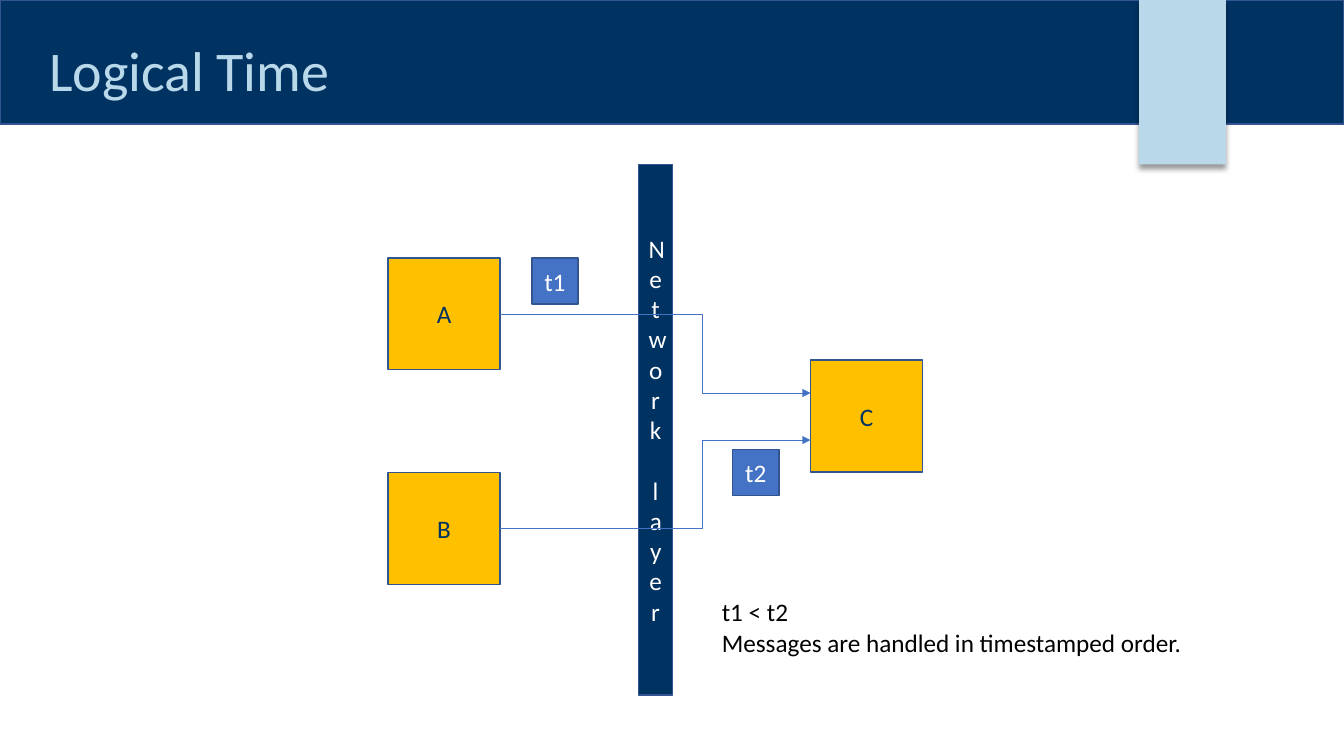
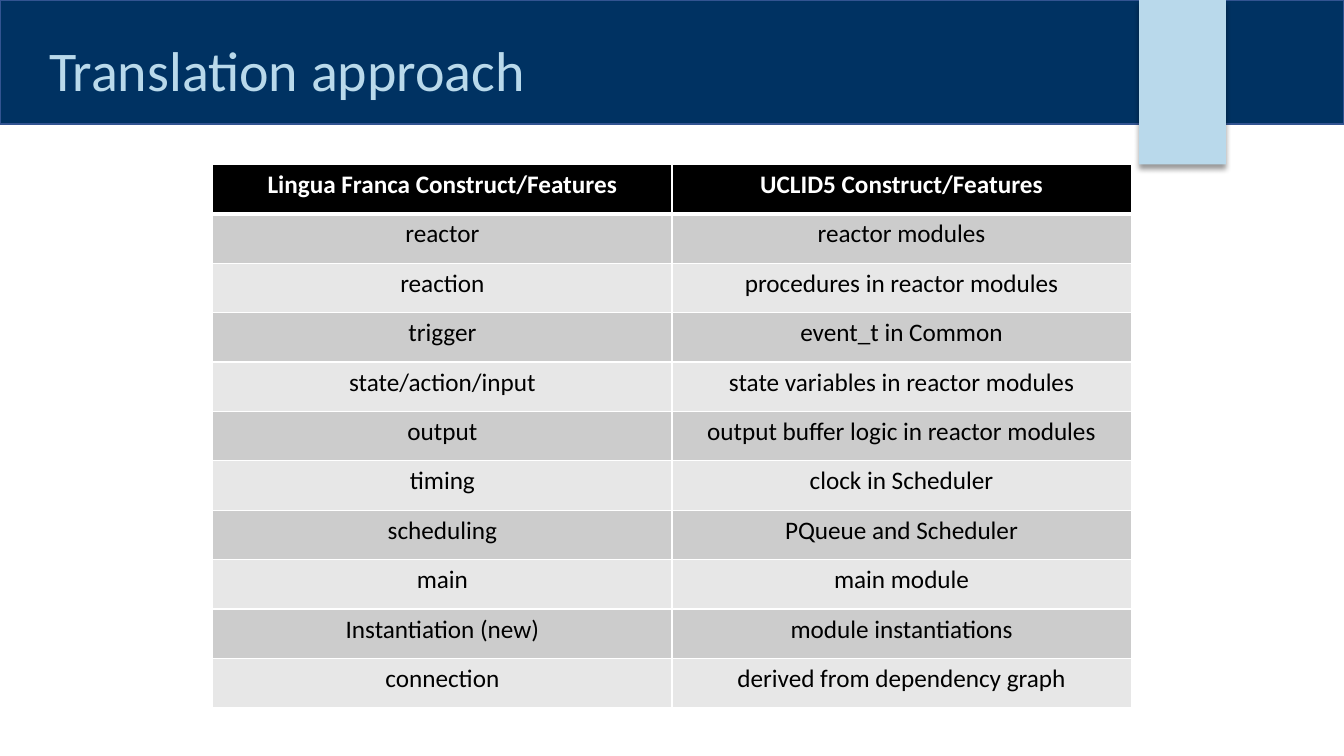
from dataclasses import dataclass

from lxml.etree import SubElement
from pptx import Presentation
from pptx.dml.color import RGBColor
from pptx.enum.shapes import MSO_CONNECTOR as Connector, MSO_SHAPE as Preset
from pptx.enum.text import MSO_ANCHOR as Anchor, PP_ALIGN as Align
from pptx.oxml.ns import qn
from pptx.util import Pt

FONT = "Calibri"
NAVY, PALE_BLUE, BLUE, OUTLINE = "003262", "B9D9EB", "4472C4", "325491"
GOLD, WHITE, BLACK = "FFC000", "FFFFFF", "000000"
ROW_FILLS = ("E7E7E7", "CCCCCC")

PAGE_WIDTH, PAGE_HEIGHT = 960, 540
BAND_HEIGHT = 88.5
CONTENT_TOP = 117.4
NODE, STAMP = 80, 33
BLANK_LAYOUT = 6


@dataclass(frozen=True)
class Block:
    left: float
    top: float
    width: float
    height: float
    fill: str
    outline: str | None = OUTLINE
    lines: tuple[str, ...] = ()
    text_color: str = WHITE
    line_gap: float = 0


@dataclass(frozen=True)
class Message:
    """An elbow arrow that turns at the given fraction of its width."""
    start: tuple[float, float]
    end: tuple[float, float]
    turn: float = 0.652


BAND = Block(0, 0, PAGE_WIDTH, BAND_HEIGHT, NAVY)
RIBBON = Block(813.6, 0, 62, CONTENT_TOP, PALE_BLUE, None)

DIAGRAM = (
    Block(277.2, 184.2, NODE, NODE, GOLD, lines=("A",), text_color=NAVY),
    Block(277.2, 337.5, NODE, NODE, GOLD, lines=("B",), text_color=NAVY),
    Block(579, 257.2, NODE, NODE, GOLD, lines=("C",), text_color=NAVY),
    Block(456.3, CONTENT_TOP, 24, 379, NAVY, lines=("Network", "layer"), line_gap=21.6),
)
MESSAGES = (
    Message((357.2, 224.2), (579, 280.7)),
    Message((357.2, 377.5), (579, 314.4)),
)
STAMPS = (
    Block(379.9, 184.2, STAMP, STAMP, BLUE, lines=("t1",)),
    Block(523.4, 321, STAMP, STAMP, BLUE, lines=("t2",)),
)
TRANSLATIONS = (
    ("Lingua Franca Construct/Features", "UCLID5 Construct/Features"),
    ("reactor", "reactor modules"),
    ("reaction", "procedures in reactor modules"),
    ("trigger", "event_t in Common"),
    ("state/action/input", "state variables in reactor modules"),
    ("output", "output buffer logic in reactor modules"),
    ("timing", "clock in Scheduler"),
    ("scheduling", "PQueue and Scheduler"),
    ("main", "main module"),
    ("Instantiation (new)", "module instantiations"),
    ("connection", "derived from dependency graph"),
)


def rgb(color: str) -> RGBColor:
    return RGBColor.from_string(color)


def write(frame, lines: tuple[str, ...], color: str, size: float = 18,
          align=Align.LEFT, bold: bool = False, gap: float = 0) -> None:
    """Write one paragraph per line, with a gap between paragraphs."""
    for index, line in enumerate(lines):
        para = frame.add_paragraph() if index else frame.paragraphs[0]
        para.alignment = align
        if index and gap:
            para.space_before = Pt(gap)
        span = para.add_run()
        span.text = line
        span.font.name = FONT
        span.font.size = Pt(size)
        span.font.bold = bold
        span.font.color.rgb = rgb(color)


def add_block(page, block: Block):
    box = page.shapes.add_shape(Preset.RECTANGLE, Pt(block.left), Pt(block.top),
                                Pt(block.width), Pt(block.height))
    box.shadow.inherit = False
    box.fill.solid()
    box.fill.fore_color.rgb = rgb(block.fill)
    if block.outline:
        box.line.color.rgb = rgb(block.outline)
        box.line.width = Pt(1)
    else:
        box.line.fill.background()
    if block.lines:
        box.text_frame.word_wrap = True
        box.text_frame.vertical_anchor = Anchor.MIDDLE
        write(box.text_frame, block.lines, block.text_color,
              align=Align.CENTER, gap=block.line_gap)
    return box


def add_drop_shadow(box) -> None:
    effects = box.element.spPr.find(qn("a:effectLst"))
    shadow = SubElement(effects, qn("a:outerShdw"), blurRad=str(Pt(4)),
                        dist=str(Pt(3)), dir="5400000", algn="t", rotWithShape="0")
    color = SubElement(shadow, qn("a:srgbClr"), val=BLACK)
    SubElement(color, qn("a:alpha"), val="40000")


def add_text(page, left: float, top: float, width: float, height: float):
    box = page.shapes.add_textbox(Pt(left), Pt(top), Pt(width), Pt(height))
    return box.text_frame


def add_page(deck, title: str):
    """Add a blank page with the shared band, title and ribbon."""
    page = deck.slides.add_slide(deck.slide_layouts[BLANK_LAYOUT])
    add_block(page, BAND)
    frame = add_text(page, 28, 10.8, 756.5, 67)
    frame.word_wrap = True
    frame.vertical_anchor = Anchor.BOTTOM
    write(frame, (title,), PALE_BLUE, size=40)
    frame.paragraphs[0].line_spacing = 0.9
    add_drop_shadow(add_block(page, RIBBON))
    return page


def add_message(page, message: Message) -> None:
    points = (Pt(value) for value in message.start + message.end)
    arrow = page.shapes.add_connector(Connector.ELBOW, *points)
    arrow.line.color.rgb = rgb(BLUE)
    arrow.line.width = Pt(0.5)
    properties = arrow.element.spPr
    SubElement(properties.find(qn("a:ln")), qn("a:tailEnd"), type="triangle")
    SubElement(properties, qn("a:effectLst"))
    guides = properties.find(qn("a:prstGeom")).find(qn("a:avLst"))
    SubElement(guides, qn("a:gd"), name="adj1", fmla=f"val {round(message.turn * 100000)}")


def add_borders(cell, top: float, bottom: float) -> None:
    """Add white borders; call before filling, since fills come after them."""
    properties = cell._tc.get_or_add_tcPr()
    for side, width in (("L", 1), ("R", 1), ("T", top), ("B", bottom)):
        border = SubElement(properties, qn(f"a:ln{side}"), w=str(Pt(width)))
        fill = SubElement(border, qn("a:solidFill"))
        SubElement(fill, qn("a:srgbClr"), val=WHITE)


def add_translation_table(page) -> None:
    table = page.shapes.add_table(len(TRANSLATIONS), 2, Pt(152), Pt(CONTENT_TOP),
                                  Pt(656), Pt(388.3)).table
    table.horz_banding = False
    for row, texts in enumerate(TRANSLATIONS):
        table.rows[row].height = Pt(35.3)
        header = row == 0
        for column, text in enumerate(texts):
            cell = table.cell(row, column)
            add_borders(cell, top=3 if row == 1 else 1, bottom=3 if header else 1)
            cell.fill.solid()
            cell.fill.fore_color.rgb = rgb(BLACK if header else ROW_FILLS[row % 2])
            write(cell.text_frame, (text,), WHITE if header else BLACK,
                  align=Align.CENTER, bold=header)


def build_logical_time(deck) -> None:
    page = add_page(deck, "Logical Time")
    for block in DIAGRAM:
        add_block(page, block)
    for message in MESSAGES:
        add_message(page, message)
    for stamp in STAMPS:
        add_block(page, stamp)
    frame = add_text(page, 508.5, 422.6, 344, 51)
    frame.word_wrap = False
    write(frame, ("t1 < t2", "Messages are handled in timestamped order."), BLACK)


def build_translation(deck) -> None:
    add_translation_table(add_page(deck, "Translation approach"))


def main() -> None:
    deck = Presentation()
    deck.slide_width, deck.slide_height = Pt(PAGE_WIDTH), Pt(PAGE_HEIGHT)
    build_logical_time(deck)
    build_translation(deck)
    deck.save("out.pptx")


if __name__ == "__main__":
    main()
